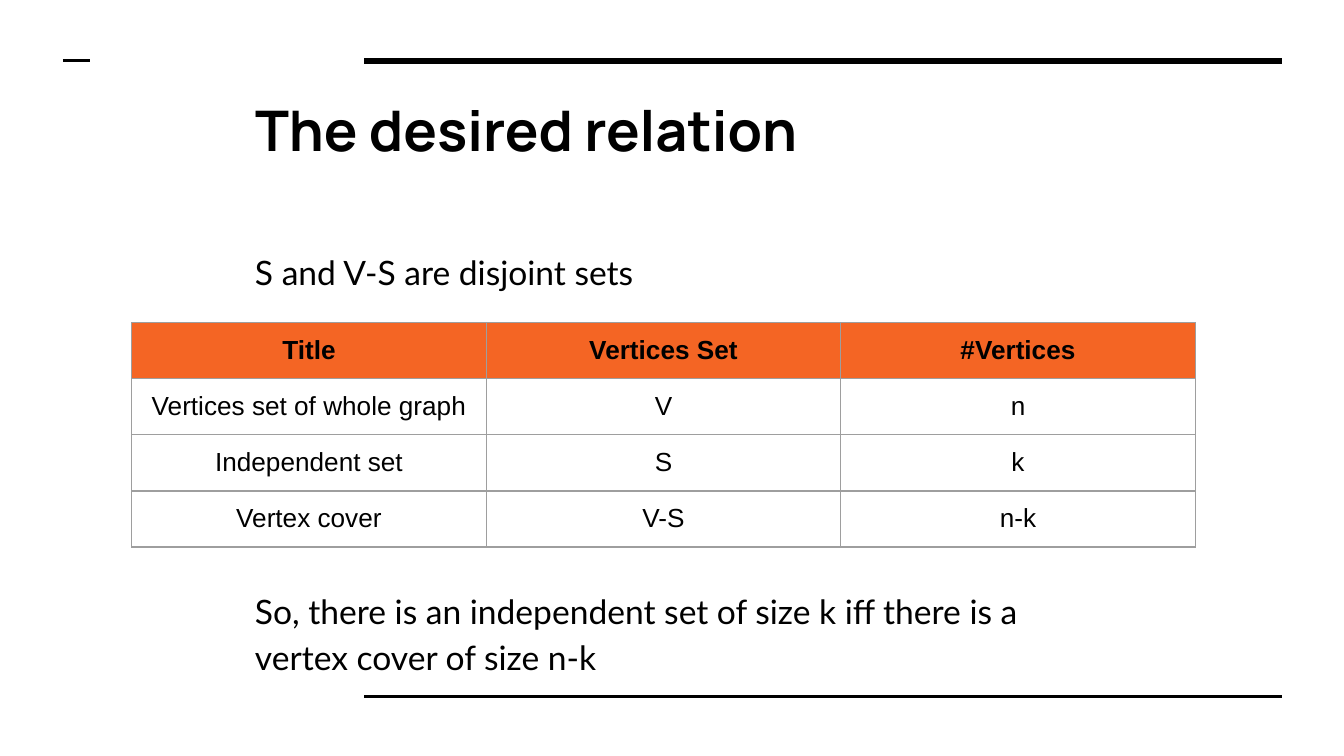
"""Build the slide relating independent sets and vertex covers."""
from typing import NamedTuple

from lxml.etree import SubElement
from pptx import Presentation
from pptx.dml.color import RGBColor
from pptx.enum.shapes import MSO_CONNECTOR as Connector
from pptx.enum.text import MSO_ANCHOR as Anchor, MSO_AUTO_SIZE as AutoSize, PP_ALIGN as Align
from pptx.oxml.ns import qn
from pptx.util import Cm, Pt

BLACK = "000000"
ORANGE = "F46524"
GREY = "9E9E9E"
PADDING = 0.25


class Rule(NamedTuple):
    left: float
    right: float
    top: float
    weight: float


class Style(NamedTuple):
    font: str
    size: float
    bold: bool = False


class Statement(NamedTuple):
    text: str
    space_before: float


RULES = [
    Rule(6.88, 24.23, 1.15, 3),
    Rule(6.88, 24.23, 13.16, 1.5),
    Rule(1.19, 1.7, 1.15, 1.5),
]
STATEMENTS = [
    Statement("S and V-S are disjoint sets", 0),
    Statement("So, there is an independent set of size k iff there is a vertex cover of size n-k", 157),
]
ROWS = [
    ("Title", "Vertices Set", "#Vertices"),
    ("Vertices set of whole graph", "V", "n"),
    ("Independent set", "S", "k"),
    ("Vertex cover", "V-S", "n-k"),
]
TITLE_STYLE = Style("Manrope", 30, True)
BODY_STYLE = Style("Lato", 18)
HEADER_STYLE = Style("Arial", 14, True)
CELL_STYLE = Style("Arial", 14)


def color(value: str) -> RGBColor:
    return RGBColor.from_string(value)


def add_span(para, text: str, style: Style) -> None:
    span = para.add_run()
    span.text = text
    span.font.name = style.font
    span.font.size = Pt(style.size)
    span.font.bold = style.bold
    span.font.color.rgb = color(BLACK)


def set_frame(frame) -> None:
    frame.word_wrap = True
    frame.auto_size = AutoSize.NONE
    frame.vertical_anchor = Anchor.TOP
    frame.margin_left = frame.margin_right = Cm(PADDING)
    frame.margin_top = frame.margin_bottom = Cm(PADDING)


def draw_rule(page, rule: Rule) -> None:
    line = page.shapes.add_connector(
        Connector.STRAIGHT, Cm(rule.left), Cm(rule.top), Cm(rule.right), Cm(rule.top)
    )
    line.line.color.rgb = color(BLACK)
    line.line.width = Pt(rule.weight)
    SubElement(line._element.spPr, qn("a:effectLst"))


def draw_title(page, text: str) -> None:
    title = page.shapes.title
    title.left, title.top, title.width, title.height = Cm(4.57), Cm(1.55), Cm(17.55), Cm(1.75)
    set_frame(title.text_frame)
    para = title.text_frame.paragraphs[0]
    para.alignment = Align.LEFT
    para.line_spacing = 1.0
    add_span(para, text, TITLE_STYLE)


def draw_statements(page, statements: list[Statement]) -> None:
    box = page.shapes.add_textbox(Cm(4.57), Cm(4.39), Cm(16.71), Cm(8.33))
    frame = box.text_frame
    set_frame(frame)
    for index, statement in enumerate(statements):
        para = frame.add_paragraph() if index else frame.paragraphs[0]
        para.line_spacing = 1.15
        para.space_before = Pt(statement.space_before)
        add_span(para, statement.text, BODY_STYLE)


def set_borders(cell) -> None:
    properties = cell._tc.get_or_add_tcPr()
    for side in ("lnL", "lnR", "lnT", "lnB"):
        border = SubElement(properties, qn(f"a:{side}"), w=str(Pt(0.75)))
        fill = SubElement(border, qn("a:solidFill"))
        SubElement(fill, qn("a:srgbClr"), val=GREY)


def draw_cell(cell, text: str, is_header: bool) -> None:
    set_borders(cell)
    cell.margin_left = cell.margin_right = Cm(PADDING)
    cell.margin_top = cell.margin_bottom = Cm(PADDING)
    if is_header:
        cell.fill.solid()
        cell.fill.fore_color.rgb = color(ORANGE)
    else:
        cell.fill.background()
    para = cell.text_frame.paragraphs[0]
    para.alignment = Align.CENTER
    add_span(para, text, HEADER_STYLE if is_header else CELL_STYLE)


def draw_table(page, rows: list[tuple[str, ...]]) -> None:
    columns = len(rows[0])
    table = page.shapes.add_table(
        len(rows), columns, Cm(2.49), Cm(6.1), Cm(6.7 * columns), Cm(1.06 * len(rows))
    ).table
    table.first_row = table.horz_banding = False
    for row, texts in enumerate(rows):
        for column, text in enumerate(texts):
            draw_cell(table.cell(row, column), text, row == 0)


def main() -> None:
    deck = Presentation()
    deck.slide_width, deck.slide_height = Cm(25.4), Cm(14.29)
    page = deck.slides.add_slide(deck.slide_layouts.get_by_name("Title Only"))
    for rule in RULES:
        draw_rule(page, rule)
    draw_title(page, "The desired relation")
    draw_statements(page, STATEMENTS)
    draw_table(page, ROWS)
    deck.save("out.pptx")


if __name__ == "__main__":
    main()
